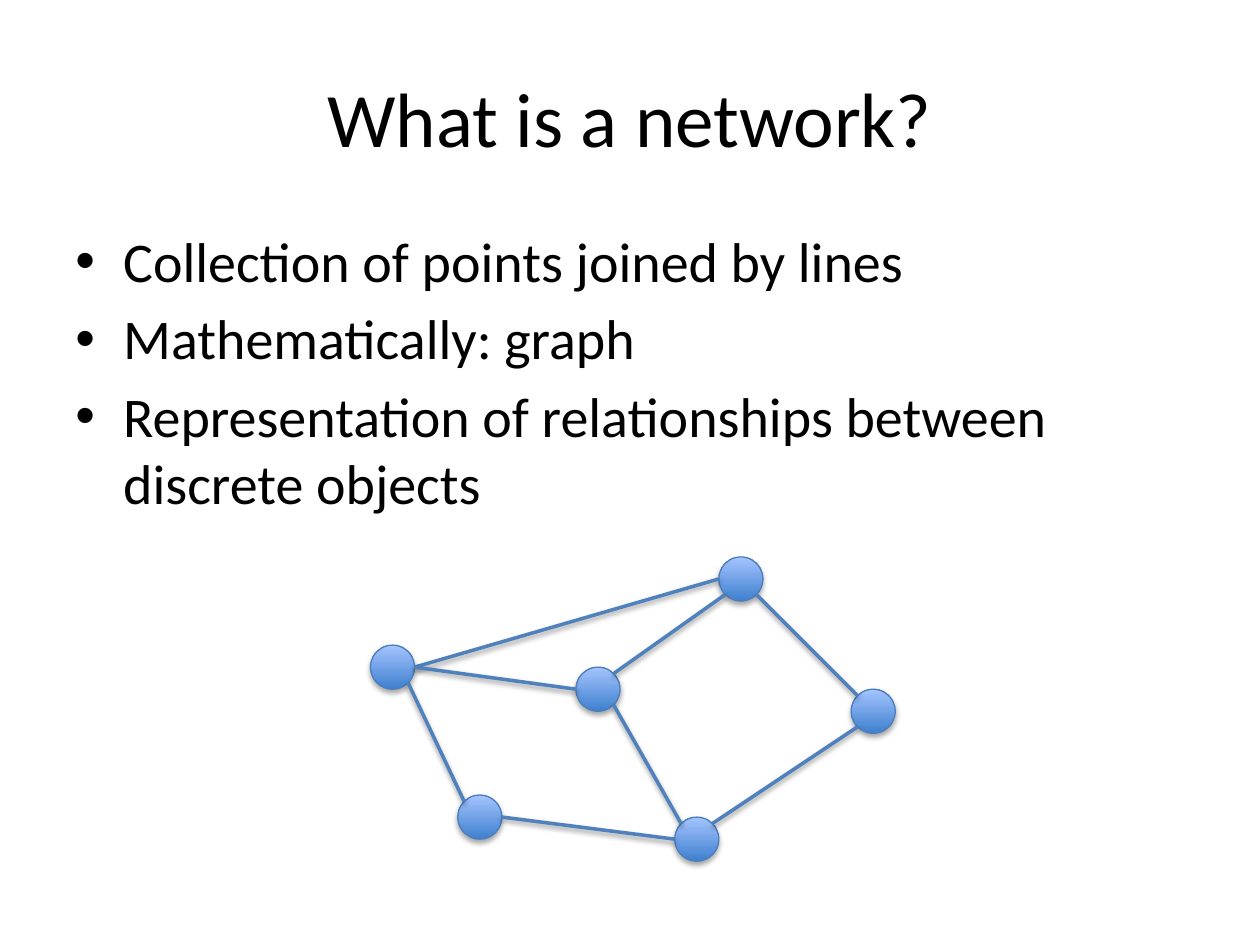
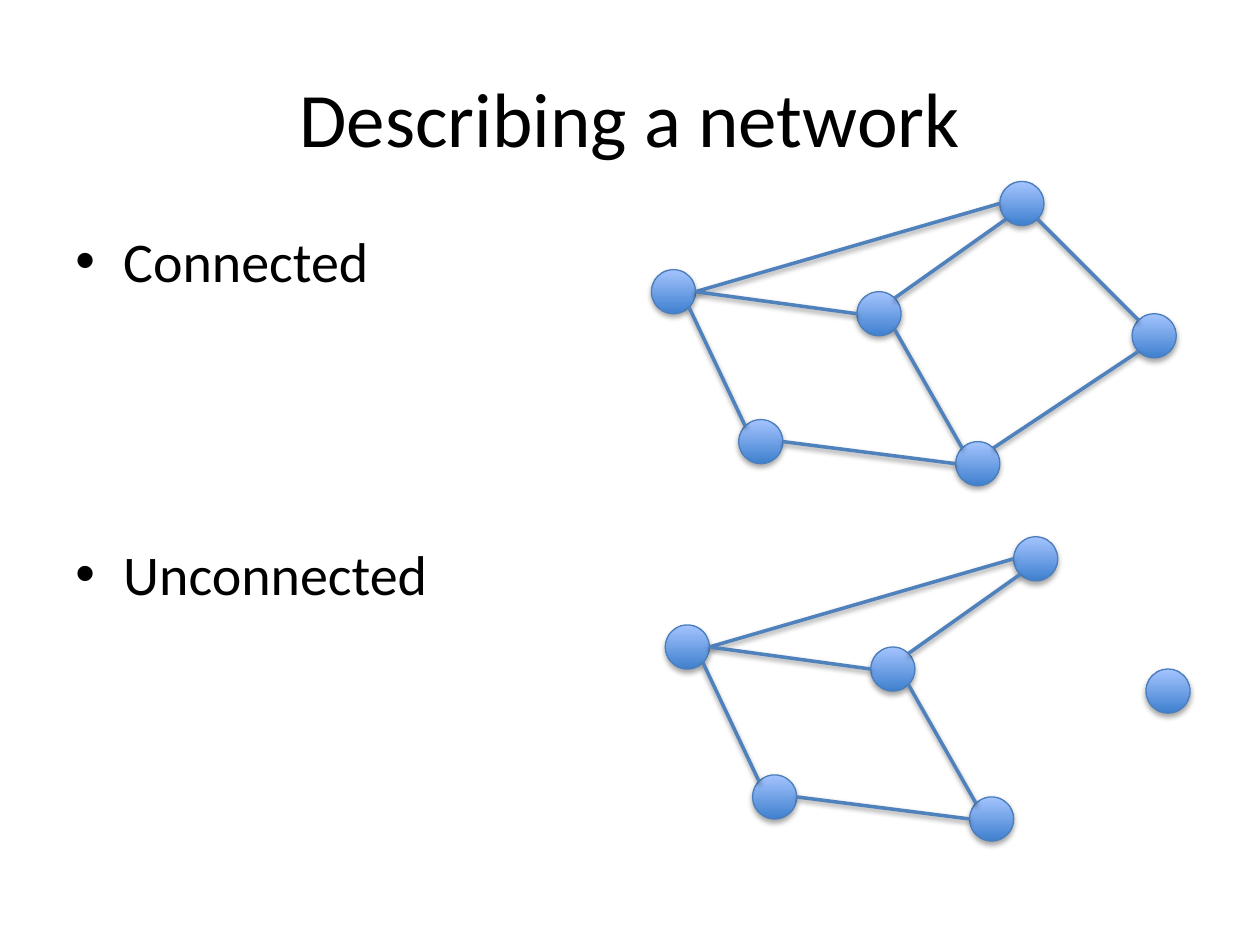
from math import cos, radians, sin

from lxml import etree
from pptx import Presentation
from pptx.dml.color import RGBColor
from pptx.enum.shapes import MSO_CONNECTOR, MSO_SHAPE
from pptx.enum.text import MSO_ANCHOR, PP_ALIGN
from pptx.oxml.ns import qn
from pptx.util import Inches, Pt

STRAIGHT = MSO_CONNECTOR.STRAIGHT
ELLIPSE = MSO_SHAPE.OVAL
TOP, MIDDLE = MSO_ANCHOR.TOP, MSO_ANCHOR.MIDDLE
LEFT, CENTER = PP_ALIGN.LEFT, PP_ALIGN.CENTER

SLIDE_WIDTH, SLIDE_HEIGHT = 10, 7.5
COLUMN, ROW = SLIDE_WIDTH / 20, SLIDE_HEIGHT / 50
TITLE_BOX = (COLUMN, 2 * ROW, 18 * COLUMN, 1.25)
BODY_BOX = (COLUMN, 1.75, 18 * COLUMN, 33 * ROW)

FONT = "Calibri"
TEXT_COLOR = "000000"
NODE_BOTTOM, NODE_TOP, NODE_LINE = "3F80CE", "A4C4FF", "4B7EBC"
EDGE_COLOR = "4F81BD"
NODE_SHADOW = {"blur": 3.1, "distance": 1.8, "opacity": 35}
EDGE_SHADOW = {"blur": 3.1, "distance": 1.6, "opacity": 38}

TITLE_FONT = {"name": FONT, "size": Pt(44)}
BODY_FONT = {"name": FONT, "size": Pt(32)}
BULLET_INDENT = 0.38
BULLET_GAP = 5.75
BULLET_PITCH = 44.8

DIAMETER = 0.35
NODES = {
    "west": (0, 2),
    "southwest": (1.98, 5.4),
    "south": (6.9, 5.9),
    "north": (7.9, 0),
    "center": (4.66, 2.5),
    "east": (10.9, 3),
}
SITE_ANGLES = {
    "right": 0, "lower right": 45, "lower left": 135,
    "left": 180, "upper left": 225, "upper right": 315,
}
CORE_EDGES = [
    ("west", "right", "north", "left"),
    ("center", "lower right", "south", "upper left"),
    ("west", "lower right", "southwest", "upper left"),
    ("southwest", "right", "south", "left"),
    ("center", "upper right", "north", "lower left"),
    ("west", "right", "center", "left"),
]
EAST_EDGES = [
    ("north", "lower right", "east", "upper left"),
    ("south", "upper right", "east", "lower left"),
]


def color(value):
    return RGBColor.from_string(value)


def apply_format(target, values):
    for name, value in values.items():
        setattr(target, name, value)


def add_shadow(shape, blur, distance, opacity):
    effects = etree.SubElement(shape._element.spPr, qn("a:effectLst"))
    shadow = etree.SubElement(effects, qn("a:outerShdw"), {
        "blurRad": str(Pt(blur)), "dist": str(Pt(distance)),
        "dir": "5400000", "rotWithShape": "0",
    })
    shade = etree.SubElement(shadow, qn("a:srgbClr"), val="000000")
    etree.SubElement(shade, qn("a:alpha"), val=str(opacity * 1000))


def add_text(slide, box, lines, font, alignment, anchor):
    shape = slide.shapes.add_textbox(*map(Inches, box))
    frame = shape.text_frame
    apply_format(frame, {"word_wrap": True, "vertical_anchor": anchor})
    frame.text = "\n".join(lines)
    for paragraph in frame.paragraphs:
        paragraph.alignment = alignment
        apply_format(paragraph.font, font)
        paragraph.font.color.rgb = color(TEXT_COLOR)
    return frame.paragraphs


def add_title(slide, title):
    add_text(slide, TITLE_BOX, [title], TITLE_FONT, CENTER, MIDDLE)


def add_bullets(slide, lines, skipped_lines=0):
    paragraphs = add_text(slide, BODY_BOX, lines, BODY_FONT, LEFT, TOP)
    for index, paragraph in enumerate(paragraphs):
        skipped = skipped_lines if index else 0
        paragraph.space_before = Pt(BULLET_GAP + skipped * BULLET_PITCH)
        properties = paragraph._p.get_or_add_pPr()
        properties.set("marL", str(Inches(BULLET_INDENT)))
        properties.set("indent", str(-Inches(BULLET_INDENT)))
        etree.SubElement(properties, qn("a:buFont"), typeface="Arial")
        etree.SubElement(properties, qn("a:buChar"), char="•")


def node_corner(origin, node):
    return [start + DIAMETER * steps for start, steps in zip(origin, NODES[node])]


def node_site(origin, node, site):
    left, top = node_corner(origin, node)
    angle = radians(SITE_ANGLES[site])
    radius = DIAMETER / 2
    return left + radius * (1 + cos(angle)), top + radius * (1 + sin(angle))


def add_node(slide, origin, node):
    left, top = node_corner(origin, node)
    shape = slide.shapes.add_shape(
        ELLIPSE, *map(Inches, (left, top, DIAMETER, DIAMETER)))
    shape.fill.gradient()
    shape.fill.gradient_angle = 90
    for stop, value in zip(shape.fill.gradient_stops, (NODE_BOTTOM, NODE_TOP)):
        stop.color.rgb = color(value)
    shape.line.color.rgb = color(NODE_LINE)
    shape.line.width = Pt(0.75)
    add_shadow(shape, **NODE_SHADOW)


def add_edge(slide, origin, start, start_site, end, end_site):
    points = (*node_site(origin, start, start_site),
              *node_site(origin, end, end_site))
    connector = slide.shapes.add_connector(STRAIGHT, *map(Inches, points))
    connector.line.color.rgb = color(EDGE_COLOR)
    connector.line.width = Pt(2)
    add_shadow(connector, **EDGE_SHADOW)


def add_network(slide, origin, edges):
    for node in NODES:
        add_node(slide, origin, node)
    for edge in edges:
        add_edge(slide, origin, *edge)


def build_definition(slide):
    add_title(slide, "What is a network?")
    add_bullets(slide, [
        "Collection of points joined by lines",
        "Mathematically: graph",
        "Representation of relationships between discrete objects",
    ])
    add_network(slide, (2.94, 4.42), CORE_EDGES + EAST_EDGES)


def build_description(slide):
    add_title(slide, "Describing a network")
    add_bullets(slide, ["Connected", "Unconnected"], skipped_lines=3)
    add_network(slide, (5.17, 1.44), CORE_EDGES + EAST_EDGES)
    add_network(slide, (5.28, 4.26), CORE_EDGES)


def main():
    presentation = Presentation()
    presentation.slide_width = Inches(SLIDE_WIDTH)
    presentation.slide_height = Inches(SLIDE_HEIGHT)
    blank = presentation.slide_layouts[6]
    for build in (build_definition, build_description):
        build(presentation.slides.add_slide(blank))
    presentation.save("out.pptx")


if __name__ == "__main__":
    main()
